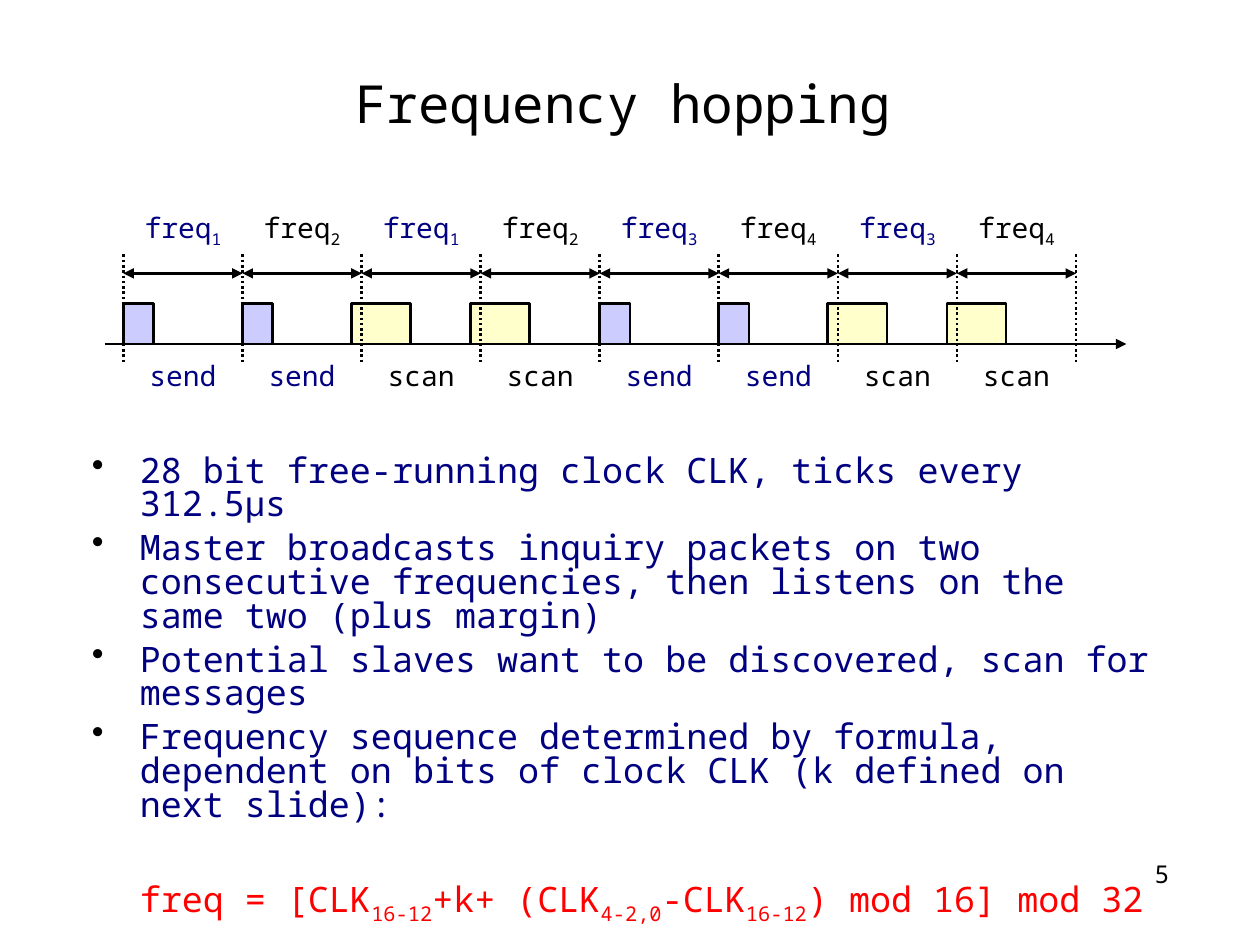
import pptx
import pptx.util
import pptx.dml.color
import pptx.enum.dml
import pptx.enum.shapes
import pptx.enum.text
import pptx.oxml.ns
from lxml import etree

Inches, Pt = pptx.util.Inches, pptx.util.Pt
ALIGN = pptx.enum.text.PP_ALIGN
ANCHOR = pptx.enum.text.MSO_ANCHOR
qn = pptx.oxml.ns.qn

MONO, SYMBOL = "Noto Sans Mono", "Arial"
COLORS = {"black": "000000", "navy": "000080", "red": "FF0000",
          "send": "CCCCFF", "scan": "FFFFCC"}

TITLE = "Frequency hopping"
PAGE = "5"
SLOTS = [("1", "send"), ("2", "send"), ("1", "scan"), ("2", "scan"),
         ("3", "send"), ("4", "send"), ("3", "scan"), ("4", "scan")]
ACTIONS = {
    "send": {"color": "navy", "offset": 0, "width": 0.24},
    "scan": {"color": "black", "offset": -0.08, "width": 0.47},
}
BULLETS = [
    [("28 bit free-running clock CLK, ticks every 312.5", MONO),
     ("μ", SYMBOL), ("s", MONO)],
    [("Master broadcasts inquiry packets on two consecutive frequencies, "
      "then listens on the same two (plus margin)", MONO)],
    [("Potential slaves want to be discovered, scan for messages", MONO)],
    [("Frequency sequence determined by formula, dependent on bits of "
      "clock CLK (k defined on next slide):", MONO)],
]
FORMULA = [("freq = [CLK", False), ("16-12", True), ("+k+ (CLK", False),
           ("4-2,0", True), ("-CLK", False), ("16-12", True),
           (") mod 16] mod 32", False)]

SLOT_LEFT, SLOT_WIDTH = 0.98, 0.945
AXIS_Y, ARROW_Y = 2.73, 2.17
TICK_TOP, TICK_BOTTOM = 2.02, 2.88
BOX_TOP = 2.41


def rgb(name):
    return pptx.dml.color.RGBColor.from_string(COLORS[name])


def add_run(p, text, size, color, font=MONO, sub=False):
    r = p.add_run()
    r.text = text
    r.font.size = Pt(size)
    r.font.name = font
    r.font.color.rgb = rgb(color)
    if sub:
        r.font._element.set("baseline", "-25000")


def set_frame(tf, margin_x=0, margin_y=0, anchor=ANCHOR.TOP):
    tf.word_wrap = True
    tf.margin_left = tf.margin_right = Inches(margin_x)
    tf.margin_top = tf.margin_bottom = Inches(margin_y)
    tf.vertical_anchor = anchor


def add_text(shapes, x, y, w, h, margin_x=0, margin_y=0):
    sp = shapes.add_textbox(Inches(x), Inches(y), Inches(w), Inches(h))
    set_frame(sp.text_frame, margin_x, margin_y)
    return sp.text_frame


def add_line(shapes, x1, y1, x2, y2, ends=(), dotted=False):
    line = shapes.add_connector(pptx.enum.shapes.MSO_CONNECTOR.STRAIGHT,
                                Inches(x1), Inches(y1), Inches(x2), Inches(y2))
    line.line.color.rgb = rgb("black")
    line.line.width = Pt(1.5)
    if dotted:
        line.line.dash_style = pptx.enum.dml.MSO_LINE.ROUND_DOT
    ln = line.line._get_or_add_ln()
    for end in ends:
        etree.SubElement(ln, qn("a:" + end), type="triangle")
    etree.SubElement(line._element.spPr, qn("a:effectLst"))


def add_label(shapes, x, y, h, color, text, sub=None):
    p = add_text(shapes, x, y, SLOT_WIDTH, h, 0.1, 0.05).paragraphs[0]
    p.alignment = ALIGN.CENTER
    add_run(p, text, 16, color)
    if sub:
        add_run(p, sub, 16, color, sub=True)


def add_window(shapes, x, action):
    style = ACTIONS[action]
    sp = shapes.add_shape(pptx.enum.shapes.MSO_SHAPE.RECTANGLE,
                          Inches(x + style["offset"]), Inches(BOX_TOP),
                          Inches(style["width"]), Inches(AXIS_Y - BOX_TOP))
    sp.shadow.inherit = False
    sp.fill.solid()
    sp.fill.fore_color.rgb = rgb(action)
    sp.line.color.rgb = rgb("black")
    sp.line.width = Pt(1.5)


def add_timeline(s):
    shapes = s.shapes.add_group_shape().shapes
    edges = [SLOT_LEFT + i * SLOT_WIDTH for i in range(len(SLOTS) + 1)]
    add_line(shapes, 0.83, AXIS_Y, 8.94, AXIS_Y, ends=["tailEnd"])
    for x, (_, action) in zip(edges, SLOTS):
        add_window(shapes, x, action)
    for x in edges:
        add_line(shapes, x, TICK_TOP, x, TICK_BOTTOM, dotted=True)
    for i, (x, (number, action)) in enumerate(zip(edges, SLOTS)):
        add_line(shapes, x, ARROW_Y, x + SLOT_WIDTH, ARROW_Y,
                 ends=["headEnd", "tailEnd"])
        add_label(shapes, x, 1.62, 0.41, ["navy", "black"][i % 2], "freq", number)
        add_label(shapes, x, 2.8, 0.37, ACTIONS[action]["color"], action)


def add_body_paragraph(tf, first, before, bullet):
    p = tf.paragraphs[0] if first else tf.add_paragraph()
    pPr = p._p.get_or_add_pPr()
    pPr.set("marL", str(Inches(0.38)))
    pPr.set("indent", str(-Inches(0.38) if bullet else 0))
    if bullet:
        clr = etree.SubElement(pPr, qn("a:buClr"))
        etree.SubElement(clr, qn("a:srgbClr"), val=COLORS["black"])
        etree.SubElement(pPr, qn("a:buChar"), char="•")
    p.line_spacing = 0.8
    p.space_before = Pt(before)
    return p


def add_body(s):
    tf = add_text(s.shapes, 0.73, 3.62, 8.53, 2.75)
    for i, runs in enumerate(BULLETS):
        p = add_body_paragraph(tf, i == 0, 6 if i else 0, True)
        for text, font in runs:
            add_run(p, text, 20, "navy", font)
    p = add_body_paragraph(tf, False, 33, False)
    for text, sub in FORMULA:
        add_run(p, text, 20, "red", sub=sub)


def main():
    prs = pptx.Presentation()
    prs.slide_width, prs.slide_height = Inches(10), Inches(7.5)
    s = prs.slides.add_slide(prs.slide_layouts[5])

    sp = s.shapes.title
    sp.left, sp.top, sp.width, sp.height = map(Inches, (0.68, 0.37, 8.53, 0.86))
    set_frame(sp.text_frame, anchor=ANCHOR.MIDDLE)
    p = sp.text_frame.paragraphs[0]
    p.alignment = ALIGN.CENTER
    p.line_spacing = 1.04
    add_run(p, TITLE, 30, "black")

    add_body(s)
    add_timeline(s)

    p = add_text(s.shapes, 7.67, 6.83, 1.61, 0.52).paragraphs[0]
    p.alignment = ALIGN.RIGHT
    p.line_spacing = 0.96
    add_run(p, PAGE, 14, "black")
    prs.save("out.pptx")


if __name__ == "__main__":
    main()
